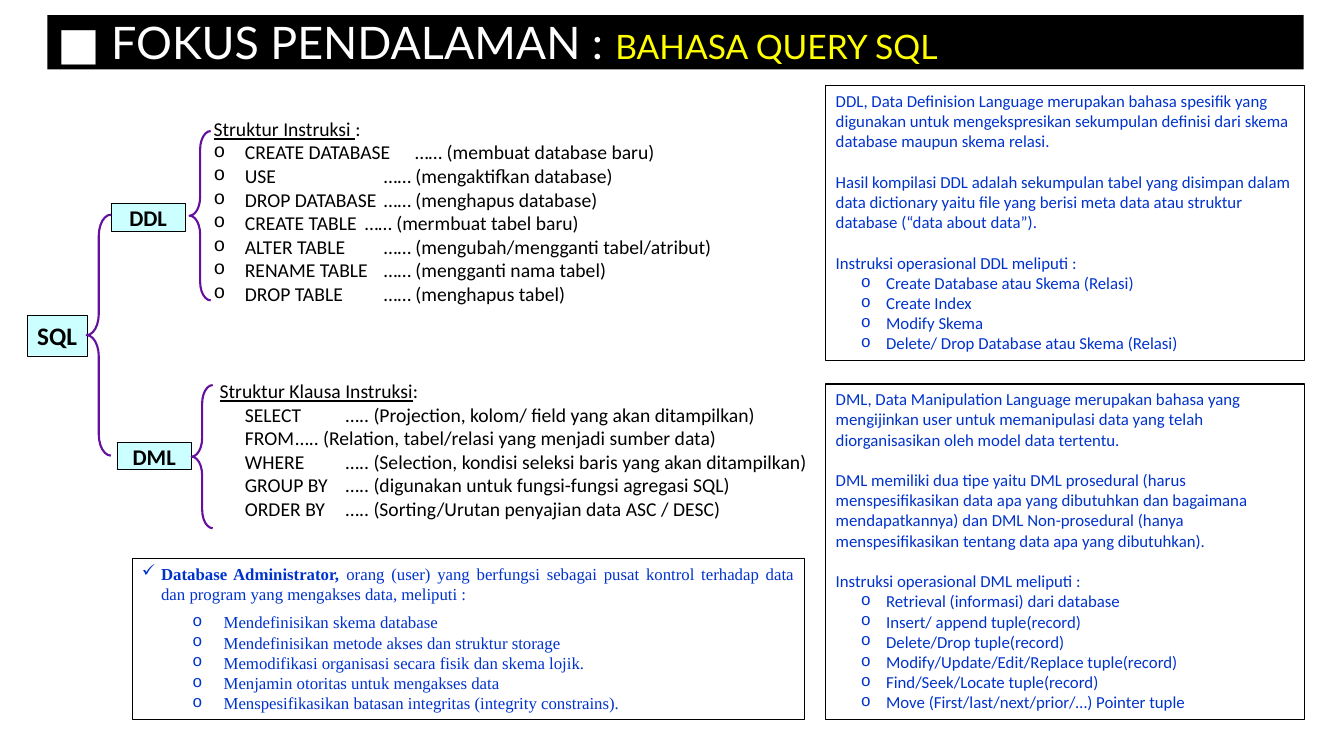
from lxml import etree
from pptx import Presentation
from pptx.dml.color import RGBColor
from pptx.enum.shapes import MSO_SHAPE
from pptx.enum.text import MSO_ANCHOR, PP_ALIGN
from pptx.oxml.ns import qn
from pptx.util import Pt

PX = 9144  # EMU per px, 100 px to the inch
RECT, BRACE = MSO_SHAPE.RECTANGLE, MSO_SHAPE.LEFT_BRACE
LEFT, CENTER, JUSTIFY = PP_ALIGN.LEFT, PP_ALIGN.CENTER, PP_ALIGN.JUSTIFY
TOP, MIDDLE, BOTTOM = MSO_ANCHOR.TOP, MSO_ANCHOR.MIDDLE, MSO_ANCHOR.BOTTOM

BLACK = RGBColor(0x00, 0x00, 0x00)
WHITE = RGBColor(0xFF, 0xFF, 0xFF)
YELLOW = RGBColor(0xFF, 0xFF, 0x00)
CYAN = RGBColor(0xCC, 0xFF, 0xFF)
PURPLE = RGBColor(0x65, 0x11, 0xA0)
BLUE = RGBColor(0x00, 0x33, 0xCC)

prs = Presentation()
prs.slide_width, prs.slide_height = 1333 * PX, 750 * PX
slide = prs.slides.add_slide(prs.slide_layouts[6])


def add_box(at, fill=None, line=None, line_width=0.75, kind=RECT,
            insets=(10, 5, 10, 5), anchor=TOP, wrap=True):
    box = slide.shapes.add_shape(kind, *(n * PX for n in at))
    box.shadow.inherit = False
    if fill is None:
        box.fill.background()
    else:
        box.fill.solid()
        box.fill.fore_color.rgb = fill
    if line is None:
        box.line.fill.background()
    else:
        box.line.color.rgb = line
        box.line.width = Pt(line_width)
    frame = box.text_frame
    frame.word_wrap = wrap
    frame.vertical_anchor = anchor
    (frame.margin_left, frame.margin_top,
     frame.margin_right, frame.margin_bottom) = (n * PX for n in insets)
    return box


def add_line(box, runs, size, color, font="Calibri", align=LEFT, indent=0,
             hanging=0, bullet=None, tab=None, before=0, after=0):
    """Add a paragraph; runs are (text, style), style among "b", "u" or ""."""
    frame = box.text_frame
    line = frame.paragraphs[0]
    if line.runs:
        line = frame.add_paragraph()
    line.alignment = align
    line.space_before, line.space_after = Pt(before), Pt(after)
    props = line._p.get_or_add_pPr()
    props.set("marL", str(indent * PX))
    props.set("indent", str(-hanging * PX))
    if bullet:
        if bullet == "o":
            etree.SubElement(props, qn("a:buFont"), typeface="Courier New")
        etree.SubElement(props, qn("a:buChar"), char=bullet)
    if tab:
        stops = etree.SubElement(props, qn("a:tabLst"))
        etree.SubElement(stops, qn("a:tab"), pos=str(tab * PX), algn="l")
    for text, style in runs:
        run = line.add_run()
        run.text = text
        run.font.name, run.font.size = font, Pt(size)
        run.font.color.rgb = color
        run.font.bold = style == "b"
        run.font.underline = style == "u"
    return line


# Title bar
title = add_box((47, 15, 1246, 54), BLACK, insets=(10, 5, 10, 0), anchor=BOTTOM)
heading = add_line(title, [("■ FOKUS PENDALAMAN : ", "")], 32, WHITE, "Lato")
heading.line_spacing = 0.9
topic = heading.add_run()
topic.text = "BAHASA QUERY SQL"
topic.font.name, topic.font.size = "Lato", Pt(24)
topic.font.color.rgb = YELLOW

# SQL tree: labels and braces
sql = add_box((27, 313, 60, 40), CYAN, BLACK, 0.25, wrap=False)
add_line(sql, [("SQL", "b")], 18, BLACK)
for name, at in (("DDL", (110, 202, 74, 27)), ("DML", (116, 439, 74, 27))):
    label = add_box(at, CYAN, BLACK, 0.25, insets=(0, 0, 0, 0), anchor=MIDDLE)
    add_line(label, [(name, "b")], 16, BLACK, align=CENTER)
for at in ((86, 213, 24, 239), (188, 130, 21, 168), (190, 382, 21, 142)):
    brace = add_box(at, line=PURPLE, line_width=1.5, kind=BRACE)
    brace.adjustments[0], brace.adjustments[1] = 0.877, 0.5

# DDL statements: name, meaning, tab stop
ddl_statements = add_box((202, 111, 576, 199))
add_line(ddl_statements, [("Struktur Instruksi ", "u"), (":", "")], 14, BLACK)
for name, meaning, tab in (
    ("CREATE DATABASE", "membuat database baru", 169),
    ("USE", "mengaktifkan database", 169),
    ("DROP DATABASE", "menghapus database", 169),
    ("CREATE TABLE", "mermbuat tabel baru", 119),
    ("ALTER TABLE", "mengubah/mengganti tabel/atribut", 169),
    ("RENAME TABLE", "mengganti nama tabel", 169),
    ("DROP TABLE", "menghapus tabel", 169),
):
    add_line(ddl_statements, [(f"{name}\t…… ({meaning})", "")], 14, BLACK,
             indent=31, hanging=31, bullet="o", tab=tab)

# DML clauses: name, meaning, tab stop
dml_clauses = add_box((208, 371, 615, 151))
add_line(dml_clauses, [("Struktur Klausa Instruksi", "u"), (":", "")], 14, BLACK)
for name, meaning, tab in (
    ("SELECT", "Projection, kolom/ field yang akan ditampilkan", 131),
    ("FROM", "Relation, tabel/relasi yang menjadi sumber data", 150),
    ("WHERE", "Selection, kondisi seleksi baris yang akan ditampilkan", 131),
    ("GROUP BY", "digunakan untuk fungsi-fungsi agregasi SQL", 131),
    ("ORDER BY", "Sorting/Urutan penyajian data ASC / DESC", 131),
):
    add_line(dml_clauses, [(f"{name}\t….. ({meaning})", "")], 14, BLACK,
             indent=25, tab=tab)

# Explanations of DDL and DML
explanations = (
    ((819, 85, 475, 273), (
        "DDL, Data Definision Language merupakan bahasa spesifik yang digunakan "
        "untuk mengekspresikan sekumpulan definisi dari skema database maupun "
        "skema relasi.",
        "Hasil kompilasi DDL adalah sekumpulan tabel yang disimpan dalam data "
        "dictionary yaitu file yang berisi meta data atau struktur database "
        "(“data about data”).",
        "Instruksi operasional DDL meliputi :",
    ), (
        "Create Database atau Skema (Relasi)",
        "Create Index",
        "Modify Skema",
        "Delete/ Drop Database atau Skema (Relasi)",
    )),
    ((819, 381, 475, 333), (
        "DML, Data Manipulation Language merupakan bahasa yang mengijinkan user "
        "untuk memanipulasi data yang telah diorganisasikan oleh model data "
        "tertentu.",
        "DML memiliki dua tipe yaitu DML prosedural (harus menspesifikasikan "
        "data apa yang dibutuhkan dan bagaimana mendapatkannya) dan DML "
        "Non-prosedural (hanya menspesifikasikan tentang data apa yang "
        "dibutuhkan).",
        "Instruksi operasional DML meliputi :",
    ), (
        "Retrieval (informasi) dari database",
        "Insert/ append tuple(record)",
        "Delete/Drop tuple(record)",
        "Modify/Update/Edit/Replace tuple(record)",
        "Find/Seek/Locate tuple(record)",
        "Move (First/last/next/prior/…) Pointer tuple",
    )),
)
for at, passages, operations in explanations:
    explanation = add_box(at, line=BLACK)
    for i, passage in enumerate(passages):
        add_line(explanation, [(passage, "")], 12, BLUE, before=14.6 if i else 0)
    for operation in operations:
        add_line(explanation, [(operation, "")], 12, BLUE,
                 indent=50, hanging=25, bullet="o")

# Database administrator duties
administrator = add_box((131, 554, 667, 160), line=BLACK)
add_line(administrator, [
    ("Database Administrator, ", "b"),
    ("orang (user) yang berfungsi sebagai pusat kontrol terhadap data dan "
     "program yang mengakses data, meliputi :", ""),
], 12, BLUE, "Times New Roman", JUSTIFY, 19, 19, "✓", after=6)
for duty in (
    "Mendefinisikan skema database",
    "Mendefinisikan metode akses dan struktur storage",
    "Memodifikasi organisasi secara fisik dan skema lojik.",
    "Menjamin otoritas untuk mengakses data",
    "Menspesifikasikan batasan integritas (integrity constrains).",
):
    add_line(administrator, [(duty, "")], 12, BLUE, "Times New Roman", JUSTIFY,
             81, 31, "o")

prs.save("out.pptx")
